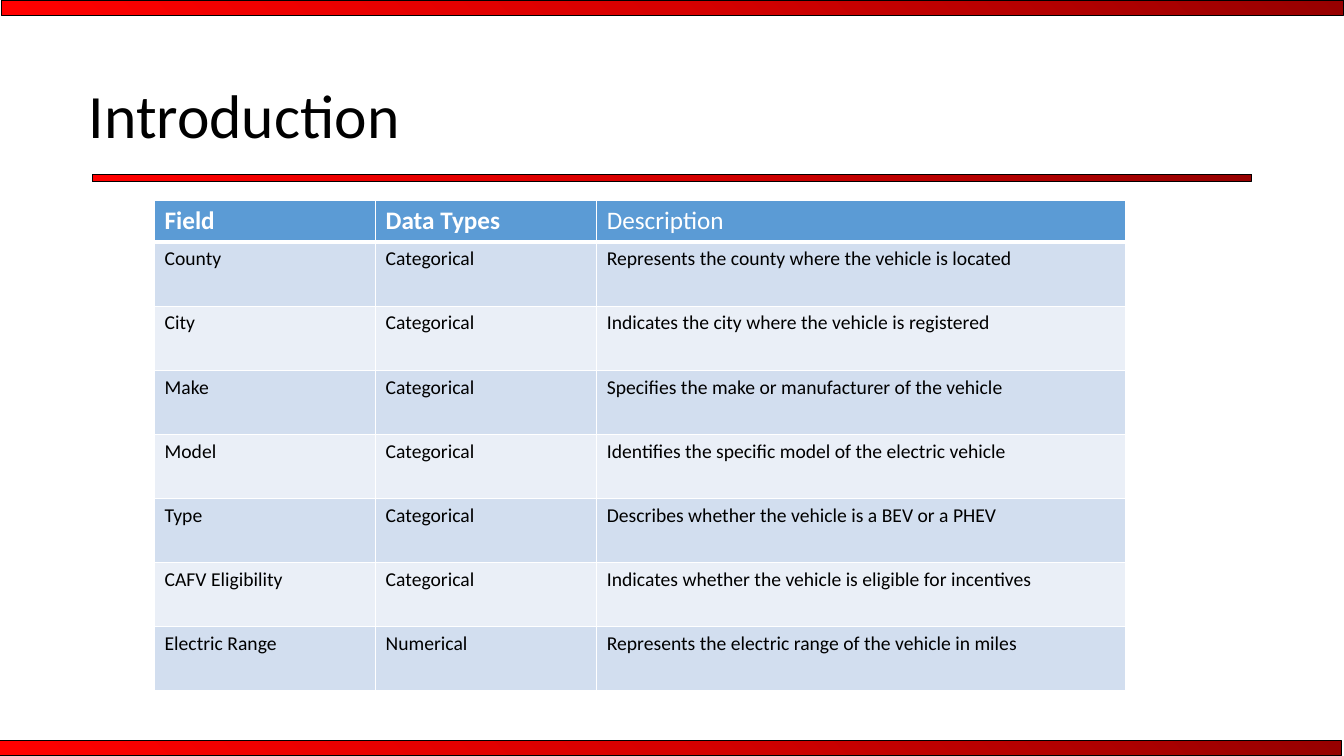
from typing import NamedTuple

from pptx import Presentation
from pptx.dml.color import RGBColor
from pptx.enum.shapes import MSO_SHAPE
from pptx.enum.text import MSO_ANCHOR, MSO_AUTO_SIZE, PP_ALIGN
from pptx.oxml import parse_xml
from pptx.oxml.ns import nsdecls, qn
from pptx.util import Pt

FONT = "Calibri"
BLACK = RGBColor(0x00, 0x00, 0x00)
WHITE = RGBColor(0xFF, 0xFF, 0xFF)
HEADER_BLUE = RGBColor(0x5B, 0x9B, 0xD5)
BAND_DARK = RGBColor(0xD2, 0xDE, 0xEF)
BAND_LIGHT = RGBColor(0xEA, 0xEF, 0xF7)
RED_STOPS = (
    (0, RGBColor(0x97, 0x00, 0x00)),
    (50, RGBColor(0xD7, 0x00, 0x00)),
    (100, RGBColor(0xFF, 0x00, 0x00)),
)


class Bar(NamedTuple):
    left: float
    top: float
    width: float
    height: float


class Field(NamedTuple):
    name: str
    data_type: str
    description: str


BARS = (
    Bar(1.4, 0, 958.4, 10.8),
    Bar(0, 529.2, 958.4, 10.8),
    Bar(66.2, 124.6, 828, 5),
)
HEADER = Field("Field", "Data Types", "Description")
FIELDS = (
    Field("County", "Categorical", "Represents the county where the vehicle is located"),
    Field("City", "Categorical", "Indicates the city where the vehicle is registered"),
    Field("Make", "Categorical", "Specifies the make or manufacturer of the vehicle"),
    Field("Model", "Categorical", "Identifies the specific model of the electric vehicle"),
    Field("Type", "Categorical", "Describes whether the vehicle is a BEV or a PHEV"),
    Field("CAFV Eligibility", "Categorical",
          "Indicates whether the vehicle is eligible for incentives"),
    Field("Electric Range", "Numerical",
          "Represents the electric range of the vehicle in miles"),
)
COLUMN_WIDTHS = (157.9, 158, 378)
HEADER_HEIGHT = 30
ROW_HEIGHT = 45.8


def add_bar(slide, bar: Bar) -> None:
    sp = slide.shapes.add_shape(MSO_SHAPE.RECTANGLE, *(Pt(v) for v in bar))
    sp.shadow.inherit = False
    sp.line.color.rgb = BLACK
    sp.line.width = Pt(0.75)
    stops = "".join(
        f'<a:gs pos="{pos * 1000}"><a:srgbClr val="{color}"/></a:gs>'
        for pos, color in RED_STOPS
    )
    gradient = parse_xml(
        f'<a:gradFill {nsdecls("a")} rotWithShape="1"><a:gsLst>{stops}</a:gsLst>'
        f'<a:lin ang="{135 * 60000}" scaled="0"/></a:gradFill>'
    )
    sp.element.spPr.find(qn("a:prstGeom")).addnext(gradient)


def set_title(slide, text: str) -> None:
    title = slide.shapes.title
    title.left, title.top = Pt(56.2), Pt(51)
    title.width, title.height = Pt(239), Pt(82)
    tf = title.text_frame
    tf.text = text
    tf.auto_size = MSO_AUTO_SIZE.NONE
    tf.word_wrap = False
    tf.vertical_anchor = MSO_ANCHOR.TOP
    p = tf.paragraphs[0]
    p.alignment = PP_ALIGN.LEFT
    p.font.name = FONT
    p.font.size = Pt(44)
    p.font.color.rgb = BLACK


def set_borders(cell, top: float, bottom: float) -> None:
    tc_pr = cell._tc.get_or_add_tcPr()
    for i, (side, width) in enumerate((("L", 1), ("R", 1), ("T", top), ("B", bottom))):
        tc_pr.insert(i, parse_xml(
            f'<a:ln{side} {nsdecls("a")} w="{Pt(width)}"><a:solidFill>'
            f'<a:srgbClr val="{WHITE}"/></a:solidFill></a:ln{side}>'
        ))


def format_cell(cell, text: str, size: float, color: RGBColor,
                fill: RGBColor, bold: bool) -> None:
    cell.text = text
    cell.fill.solid()
    cell.fill.fore_color.rgb = fill
    font = cell.text_frame.paragraphs[0].font
    font.name = FONT
    font.size = Pt(size)
    font.bold = bold
    font.color.rgb = color


def add_field_table(slide) -> None:
    height = HEADER_HEIGHT + ROW_HEIGHT * len(FIELDS)
    table = slide.shapes.add_table(
        len(FIELDS) + 1, len(COLUMN_WIDTHS),
        Pt(110.4), Pt(143), Pt(sum(COLUMN_WIDTHS)), Pt(height),
    ).table
    for column, width in zip(table.columns, COLUMN_WIDTHS):
        column.width = Pt(width)
    for r, field in enumerate((HEADER, *FIELDS)):
        is_header = r == 0
        table.rows[r].height = Pt(HEADER_HEIGHT if is_header else ROW_HEIGHT)
        for c, text in enumerate(field):
            cell = table.cell(r, c)
            if is_header:
                format_cell(cell, text, 18, WHITE, HEADER_BLUE, c < 2)
            else:
                band = BAND_DARK if r % 2 else BAND_LIGHT
                format_cell(cell, text, 14, BLACK, band, False)
            set_borders(cell, 3 if r == 1 else 1, 3 if is_header else 1)


def main() -> None:
    prs = Presentation()
    prs.slide_width, prs.slide_height = Pt(960), Pt(540)
    slide = prs.slides.add_slide(prs.slide_layouts.get_by_name("Title Only"))
    for bar in BARS:
        add_bar(slide, bar)
    set_title(slide, "Introduction")
    add_field_table(slide)
    prs.save("out.pptx")


if __name__ == "__main__":
    main()
